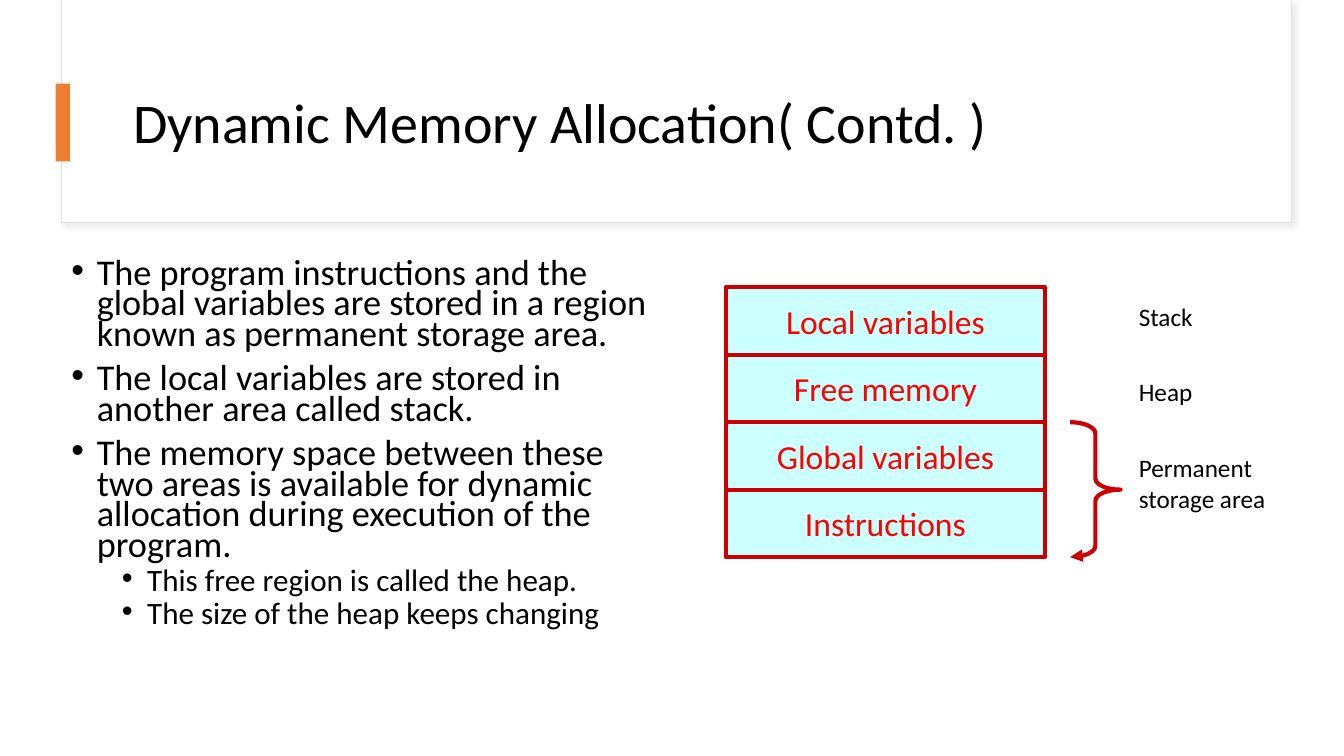
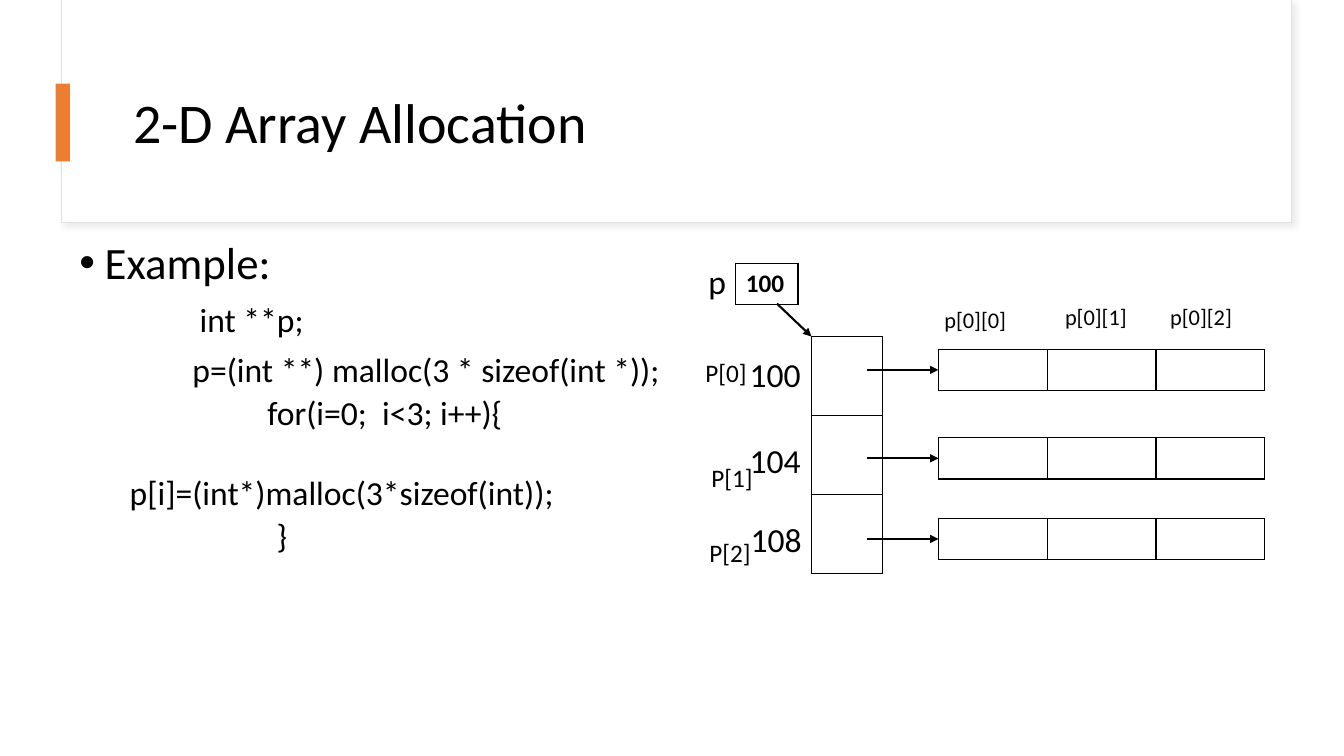
from lxml import etree
from pptx import Presentation
from pptx.dml.color import RGBColor
from pptx.enum.shapes import MSO_CONNECTOR, MSO_SHAPE
from pptx.enum.text import MSO_ANCHOR, MSO_AUTO_SIZE, PP_ALIGN
from pptx.oxml import parse_xml
from pptx.oxml.ns import nsdecls, qn
from pptx.util import Cm, Pt

RECT, BRACE = MSO_SHAPE.RECTANGLE, MSO_SHAPE.RIGHT_BRACE
STRAIGHT = MSO_CONNECTOR.STRAIGHT
MIDDLE, LEFT, CENTER = MSO_ANCHOR.MIDDLE, PP_ALIGN.LEFT, PP_ALIGN.CENTER
NO_AUTOFIT = MSO_AUTO_SIZE.NONE

BLACK, WHITE, ORANGE = "000000", "FFFFFF", "ED7D31"
BAND_LINE, DARK_RED, RED, CYAN = "E1E1E1", "CC0000", "FF0000", "CCFFFF"
FONT = "Calibri"
rgb = RGBColor.from_string

BAND_SHADOW = f"""<a:effectLst {nsdecls('a')}>
  <a:outerShdw blurRad="50800" dist="38100" dir="2700000" algn="tl" rotWithShape="0">
    <a:srgbClr val="D9D9D9"><a:alpha val="50000"/></a:srgbClr>
  </a:outerShdw></a:effectLst>"""
CELL_BORDER = """<a:{side} {ns} w="12700"><a:solidFill>
  <a:srgbClr val="{color}"/></a:solidFill></a:{side}>"""


def write(p, text, size, color=BLACK, bold=False):
    r = p.add_run()
    r.text = text
    for name, value in {"name": FONT, "size": Pt(size), "bold": bold}.items():
        setattr(r.font, name, value)
    r.font.color.rgb = rgb(color)


def add_grid(s, left, top, cols, rows, col_width, row_height):
    """Add a plain white table with thin black borders, sizes in cm."""
    table = s.shapes.add_table(rows, cols, Cm(left), Cm(top),
                               Cm(cols * col_width), Cm(rows * row_height)).table
    table.first_row = table.horz_banding = False
    for cell in table.iter_cells():
        tcPr = cell._tc.get_or_add_tcPr()
        for side in ("lnL", "lnR", "lnT", "lnB"):
            tcPr.append(parse_xml(CELL_BORDER.format(side=side, ns=nsdecls("a"), color=BLACK)))
        cell.fill.solid()
        cell.fill.fore_color.rgb = rgb(WHITE)
    return table


# Paragraph formats: size, left margin and first-line indent in cm, spacing, bullet
POINT = {"size": 25.9, "left": 0.64, "first": -0.64, "line": 0.7, "before": 10, "bullet": True}
SUBPOINT = {**POINT, "size": 22.2, "left": 1.91, "before": 5}
HEADING = {**POINT, "size": 32, "line": 0.9}
CODE = {**HEADING, "size": 24, "first": 0, "bullet": False}
LOOP_CODE = {**CODE, "before": 5}

CONTENT = [
    {"title": "Dynamic Memory Allocation( Contd. )",
     "box": (1.55, 6.45, 15.19, 10.49),
     "body": [
         ("The program instructions and the global variables are stored in a region "
          "known as permanent storage area.", POINT),
         ("The local variables are stored in another area called stack.", POINT),
         ("The memory space between these two areas is available for dynamic "
          "allocation during execution of the program.", POINT),
         ("This free region is called the heap.", SUBPOINT),
         ("The size of the heap keeps changing", SUBPOINT)],
     "labels": [
         ("Stack", 28.45, 7.47, 4.11, 18),
         ("Heap", 28.45, 9.37, 4.11, 18),
         ("Permanent storage area", 28.45, 11.28, 4.11, 18)]},
    {"title": "2-D Array Allocation",
     "box": (1.75, 5.94, 17.3, 11.23),
     "body": [
         ("Example:", HEADING),
         ("int **p;", {**CODE, "left": 3.03}),
         ("p=(int **) malloc(3 * sizeof(int *));", {**CODE, "left": 2.85}),
         ("for(i=0;  i<3; i++){", {**LOOP_CODE, "left": 4.74}),
         ("p[i]=(int*)malloc(3*sizeof(int));", {**LOOP_CODE, "left": 1.27, "before": 31}),
         ("}", {**LOOP_CODE, "left": 4.97})],
     "labels": [
         ("p", 17.6, 6.45, 1.2, 24),
         ("100", 18.64, 8.79, 1.9, 24),
         ("104", 18.64, 10.95, 1.9, 24),
         ("108", 18.67, 12.95, 1.9, 24),
         ("p[0][0]", 23.55, 7.59, 2.3, 16),
         ("p[0][1]", 26.59, 7.52, 2.3, 16),
         ("p[0][2]", 29.24, 7.52, 2.3, 16),
         ("P[0]", 17.53, 8.89, 1.7, 18),
         ("P[1]", 17.68, 11.53, 1.7, 18),
         ("P[2]", 17.63, 13.41, 1.7, 18)]},
]

prs = Presentation()
prs.slide_width, prs.slide_height = Cm(33.87), Cm(19.05)

# Title band, body text and labels of both slides
for content in CONTENT:
    s = prs.slides.add_slide(prs.slide_layouts[5])
    title = s.shapes.title
    places = {"left": 3.1, "top": 1.52, "width": 28.24, "height": 3.28}
    for name, value in places.items():
        setattr(title, name, Cm(value))
    tf = title.text_frame
    tf.word_wrap, tf.auto_size, tf.vertical_anchor = True, NO_AUTOFIT, MIDDLE
    p = tf.paragraphs[0]
    p.alignment, p.line_spacing = LEFT, 0.9
    write(p, content["title"], 40)

    band = s.shapes.add_shape(RECT, Cm(1.55), 0, Cm(31.01), Cm(5.61))
    band.fill.solid()
    band.fill.fore_color.rgb = rgb(WHITE)
    band.line.color.rgb = rgb(BAND_LINE)
    band.line.width = Pt(0.75)
    band.element.spPr.append(parse_xml(BAND_SHADOW))
    title.element.addprevious(band.element)

    accent = s.shapes.add_shape(RECT, Cm(1.4), Cm(2.11), Cm(0.36), Cm(1.96))
    accent.shadow.inherit = False
    accent.fill.solid()
    accent.fill.fore_color.rgb = rgb(ORANGE)
    accent.line.fill.background()

    tf = s.shapes.add_textbox(*map(Cm, content["box"])).text_frame
    tf.word_wrap = True
    for i, (text, fmt) in enumerate(content["body"]):
        p = tf.add_paragraph() if i else tf.paragraphs[0]
        p.line_spacing, p.space_before = fmt["line"], Pt(fmt["before"])
        pPr = p._p.get_or_add_pPr()
        pPr.set("marL", str(Cm(fmt["left"])))
        pPr.set("indent", str(Cm(fmt["first"])))
        if fmt["bullet"]:
            etree.SubElement(pPr, qn("a:buFont"), typeface="Arial")
            etree.SubElement(pPr, qn("a:buChar"), char="•")
        write(p, text, fmt["size"])

    for text, left, top, width, size in content["labels"]:
        tf = s.shapes.add_textbox(Cm(left), Cm(top), Cm(width), Cm(1.1)).text_frame
        tf.word_wrap = True
        write(tf.paragraphs[0], text, size)

memory_slide, array_slide = prs.slides

# Memory areas with the brace around the permanent ones
AREA_TOP, AREA_HEIGHT = 7.24, 1.7
areas = ["Local variables", "Free memory", "Global variables", "Instructions"]
for i, text in enumerate(areas):
    sp = memory_slide.shapes.add_shape(RECT, Cm(18.29), Cm(AREA_TOP + i * AREA_HEIGHT),
                                       Cm(8.05), Cm(AREA_HEIGHT))
    sp.shadow.inherit = False
    sp.fill.solid()
    sp.fill.fore_color.rgb = rgb(CYAN)
    sp.line.color.rgb = rgb(DARK_RED)
    sp.line.width = Pt(3)
    sp.text_frame.vertical_anchor = MIDDLE
    p = sp.text_frame.paragraphs[0]
    p.alignment = CENTER
    write(p, text, 24, RED)

brace = memory_slide.shapes.add_shape(BRACE, Cm(26.97), Cm(AREA_TOP + 2 * AREA_HEIGHT),
                                      Cm(1.27), Cm(2 * AREA_HEIGHT))
brace.shadow.inherit = False
brace.adjustments[0] = 0.22
brace.fill.background()
brace.line.color.rgb = rgb(DARK_RED)
brace.line.width = Pt(3)
etree.SubElement(brace.line._get_or_add_ln(), qn("a:tailEnd"), type="triangle")

# Pointer p, the array of row pointers and the three rows
CELL_HEIGHT = 1.04
POINTERS_LEFT, POINTERS_TOP = 20.45, 8.48
ROWS_LEFT = 23.65
pointer = add_grid(array_slide, 18.54, 6.63, 1, 1, 1.57, CELL_HEIGHT)
write(pointer.cell(0, 0).text_frame.paragraphs[0], "100", 18, bold=True)
add_grid(array_slide, POINTERS_LEFT, POINTERS_TOP, 1, 3, 1.78, 1.99)

arrows = [(19.58, 7.65, POINTERS_LEFT, POINTERS_TOP)]
for top in (8.8, 11.03, 13.06):
    add_grid(array_slide, ROWS_LEFT, top, 3, 1, 2.74, CELL_HEIGHT)
    middle = top + CELL_HEIGHT / 2
    arrows.append((21.84, middle, ROWS_LEFT, middle))

for ends in arrows:
    arrow = array_slide.shapes.add_connector(STRAIGHT, *map(Cm, ends))
    arrow.line.color.rgb = rgb(BLACK)
    arrow.line.width = Pt(1.5)
    etree.SubElement(arrow.line._get_or_add_ln(), qn("a:tailEnd"), type="triangle")
    etree.SubElement(arrow.element.spPr, qn("a:effectLst"))

prs.save("out.pptx")
